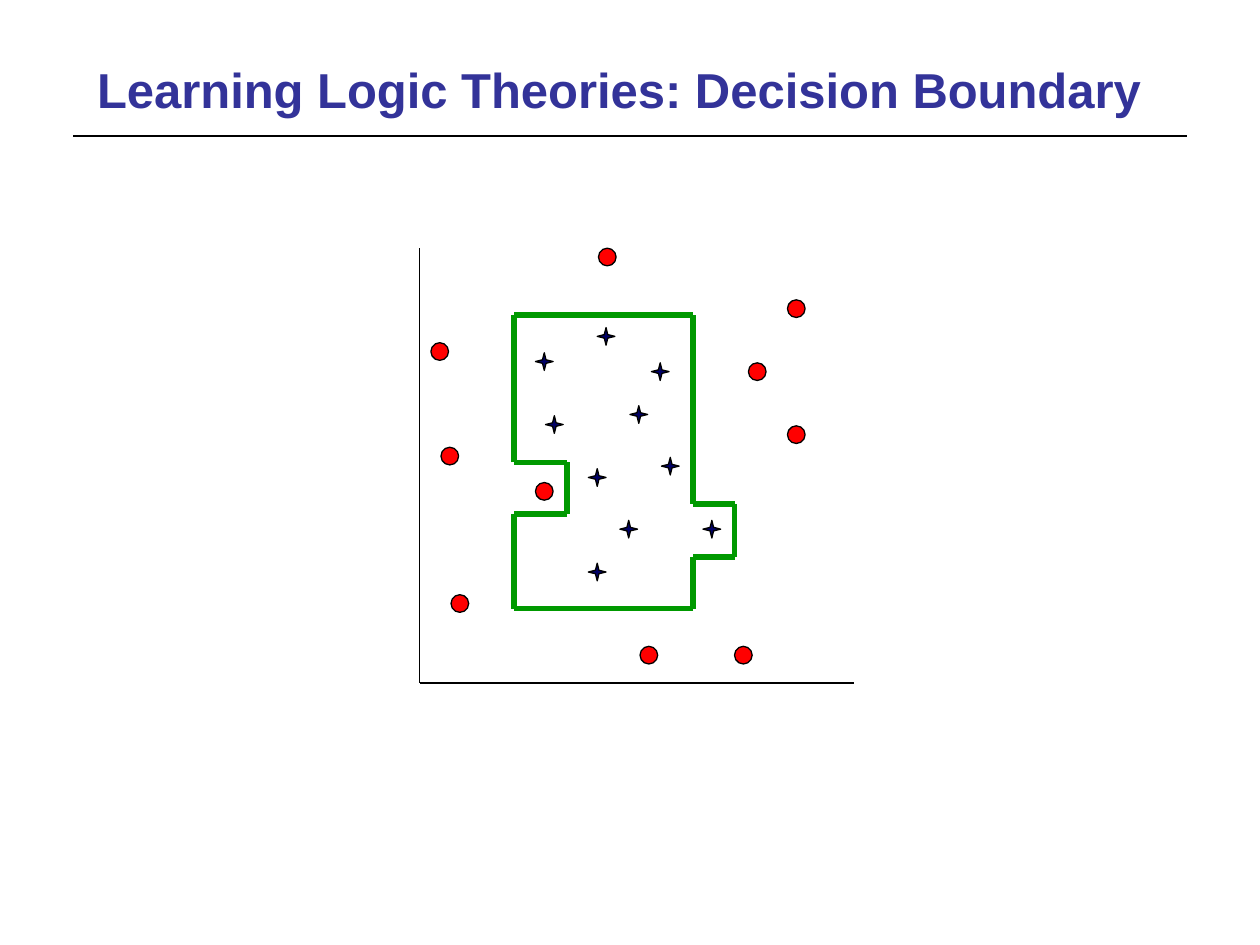
import itertools
import math
from dataclasses import dataclass

import pptx
import pptx.dml.color
import pptx.enum.shapes
import pptx.enum.text
import pptx.oxml
import pptx.oxml.ns
import pptx.util
from pptx.util import Inches


@dataclass(frozen=True)
class Theme:
    font: str = "Arial"
    title_size: int = 28
    title: str = "333399"
    ink: str = "000000"
    positive: str = "000066"
    negative: str = "FF0000"
    boundary: str = "009900"
    rule_width: float = 1
    thin_width: float = 0.75
    boundary_width: float = 3


THEME = Theme()
MARKER = 0.14
STAR_INNER = 0.02

POSITIVES = [
    (2.25, 2.16), (1.41, 0.63), (1.84, 0.91), (1.92, 1.66), (1.59, 2.16),
    (1.67, 1.25), (1.34, 2.5), (1.34, 1.75), (1, 1.33), (0.92, 0.83),
]
NEGATIVES = [
    (0.92, 1.86), (0.17, 1.58), (0.09, 0.75), (0.25, 2.75), (2.92, 0.41),
    (2.92, 1.41), (1.42, 0), (2.61, 0.91), (1.75, 3.16), (2.5, 3.16),
]
BOUNDARY = [
    (0.75, 0.53), (2.17, 0.53), (2.17, 2.03), (2.5, 2.03), (2.5, 2.45),
    (2.17, 2.45), (2.17, 2.86), (0.75, 2.86), (0.75, 2.11), (1.17, 2.11),
    (1.17, 1.7), (0.75, 1.7),
]


def color(value):
    return pptx.dml.color.RGBColor.from_string(value)


def add_line(page, start, end, line_color, width):
    line = page.shapes.add_connector(
        pptx.enum.shapes.MSO_CONNECTOR.STRAIGHT,
        *(Inches(value) for value in (*start, *end)))
    line.line.color.rgb = color(line_color)
    line.line.width = pptx.util.Pt(width)
    line._element.spPr.append(pptx.oxml.parse_xml(
        f"<a:effectLst {pptx.oxml.ns.nsdecls('a')}/>"))


def style_marker(shape, fill):
    shape.shadow.inherit = False
    shape.fill.solid()
    shape.fill.fore_color.rgb = color(fill)
    shape.line.color.rgb = color(THEME.ink)
    shape.line.width = pptx.util.Pt(THEME.thin_width)


def add_star(page, left, top):
    radius = MARKER / 2
    points = []
    for step in range(8):
        reach = STAR_INNER if step % 2 else radius
        angle = math.pi + step * math.pi / 4
        points.append((Inches(left + radius + reach * math.cos(angle)),
                       Inches(top + radius + reach * math.sin(angle))))
    builder = page.shapes.build_freeform(*points[0])
    builder.add_line_segments(points[1:], close=True)
    style_marker(builder.convert_to_shape(), THEME.positive)


def add_dot(page, left, top):
    dot = page.shapes.add_shape(
        pptx.enum.shapes.MSO_SHAPE.OVAL,
        Inches(left), Inches(top), Inches(MARKER), Inches(MARKER))
    style_marker(dot, THEME.negative)


def add_title(page, left, top, width, height):
    title = page.shapes.title
    title.left, title.top = Inches(left), Inches(top)
    title.width, title.height = Inches(width), Inches(height)
    frame = title.text_frame
    frame.text = "Learning Logic Theories: Decision Boundary"
    frame.word_wrap = True
    frame.auto_size = pptx.enum.text.MSO_AUTO_SIZE.NONE
    frame.vertical_anchor = pptx.enum.text.MSO_ANCHOR.TOP
    para = frame.paragraphs[0]
    para.alignment = pptx.enum.text.PP_ALIGN.LEFT
    para.line_spacing = 1.0
    para.space_before = pptx.util.Pt(0)
    font = para.runs[0].font
    font.name = THEME.font
    font.size = pptx.util.Pt(THEME.title_size)
    font.bold = True
    font.color.rgb = color(THEME.title)


def add_plot(page, left, top, width, height):
    def place(point):
        return left + point[0], top + point[1]

    origin = place((0, height))
    add_line(page, place((0, 0)), origin, THEME.ink, THEME.thin_width)
    add_line(page, origin, place((width, height)), THEME.ink, THEME.thin_width)
    for point in POSITIVES:
        add_star(page, *place(point))
    for point in NEGATIVES:
        add_dot(page, *place(point))
    for start, end in itertools.pairwise(BOUNDARY + BOUNDARY[:1]):
        add_line(page, place(start), place(end),
                 THEME.boundary, THEME.boundary_width)


def main():
    deck = pptx.Presentation()
    deck.slide_width, deck.slide_height = Inches(10), Inches(7.5)
    page = deck.slides.add_slide(deck.slide_layouts.get_by_name("Title Only"))
    add_title(page, 0.67, 0.42, 8.67, 1)
    add_line(page, (0.58, 1.08), (9.42, 1.08), THEME.ink, THEME.rule_width)
    add_plot(page, 3.33, 1.97, 3.45, 3.45)
    deck.save("out.pptx")


if __name__ == "__main__":
    main()
